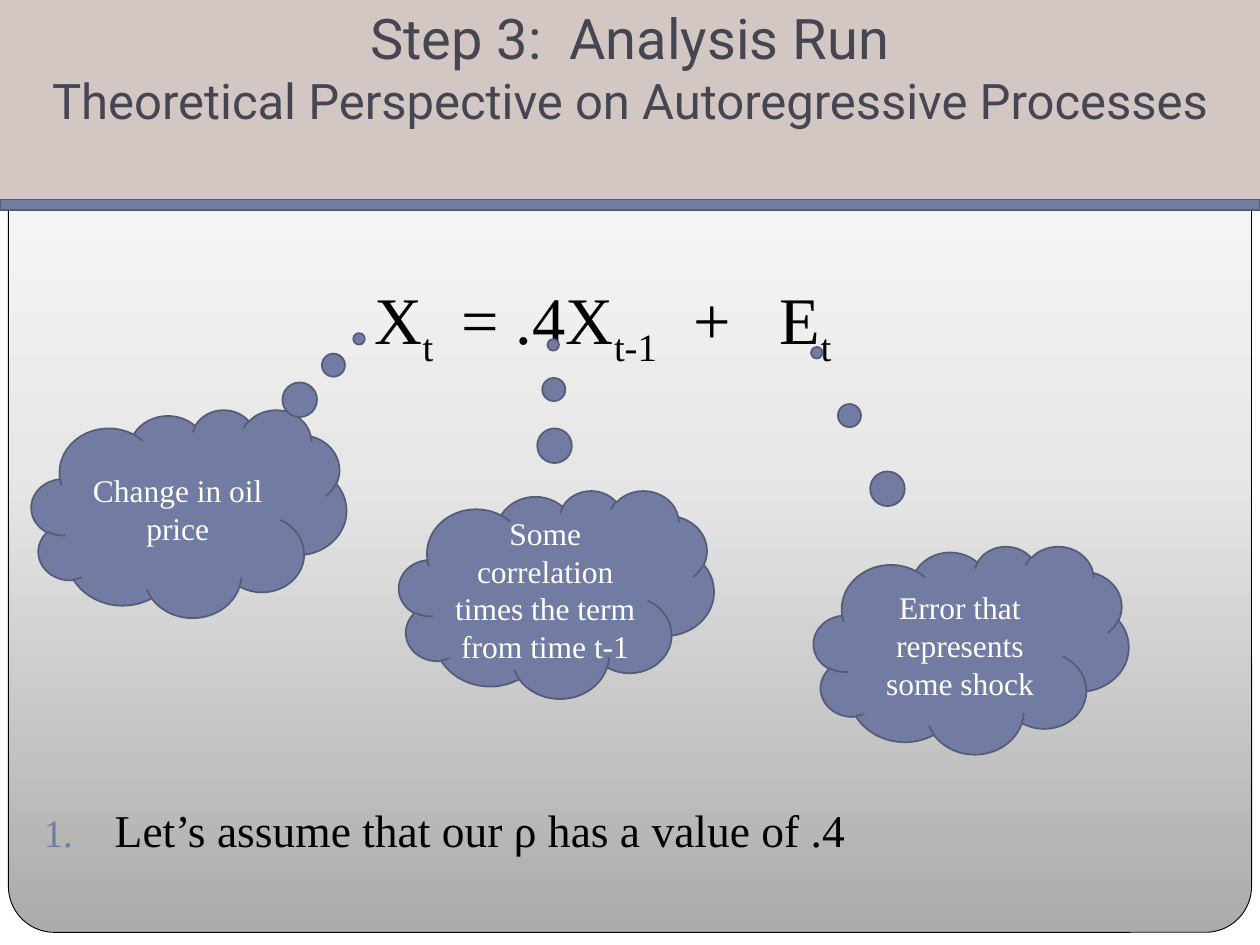
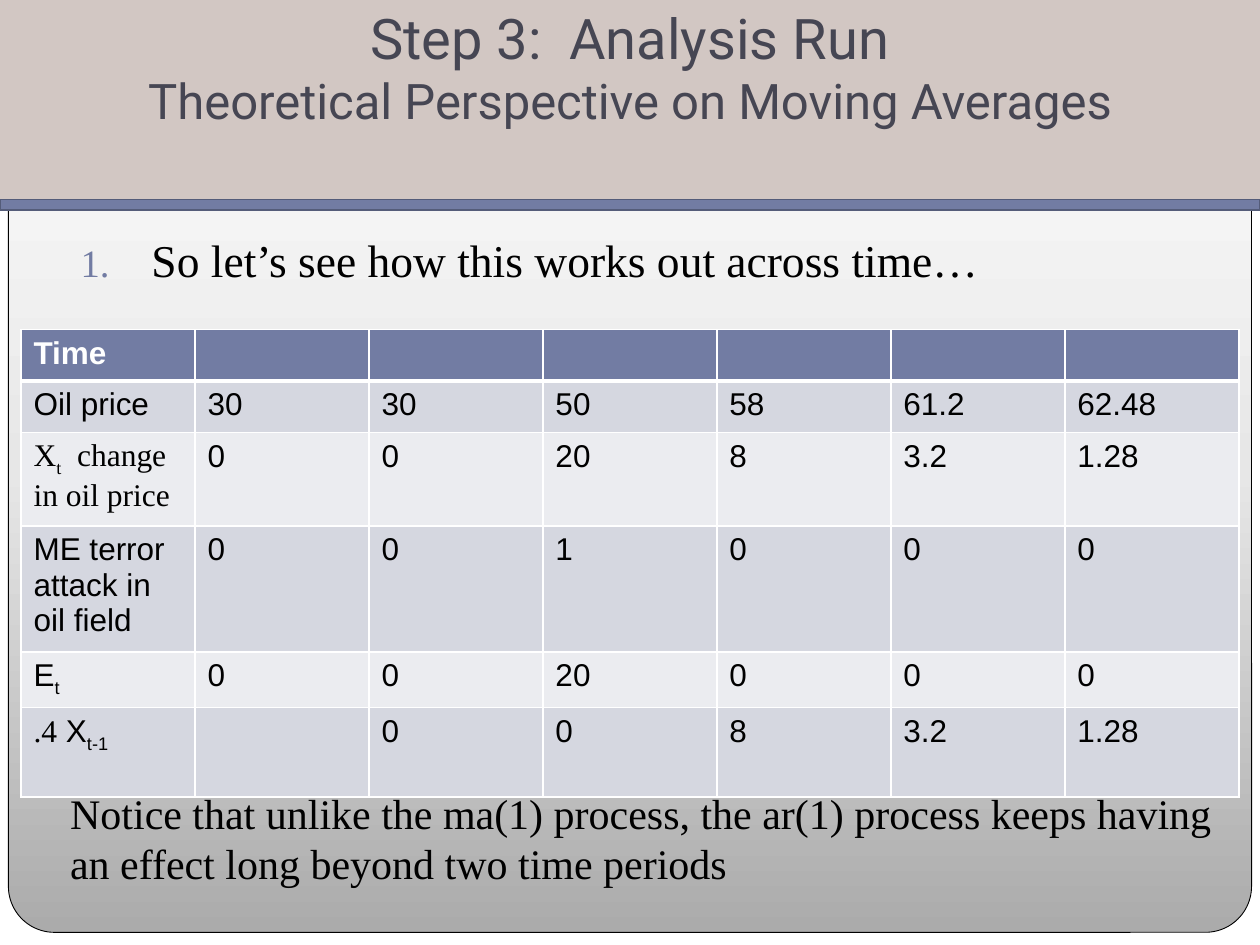
from copy import deepcopy

from lxml import etree
from pptx import Presentation
from pptx.dml.color import RGBColor
from pptx.enum.shapes import MSO_SHAPE
from pptx.enum.text import MSO_ANCHOR, MSO_AUTO_SIZE, PP_ALIGN
from pptx.oxml.ns import qn
from pptx.util import Inches, Pt

RECTANGLE = MSO_SHAPE.RECTANGLE
ROUNDED = MSO_SHAPE.ROUNDED_RECTANGLE
CLOUD = MSO_SHAPE.CLOUD_CALLOUT
CENTER = PP_ALIGN.CENTER
LEFT = PP_ALIGN.LEFT
TOP = MSO_ANCHOR.TOP
MIDDLE = MSO_ANCHOR.MIDDLE
NO_FIT = MSO_AUTO_SIZE.NONE

BLACK = RGBColor(0x00, 0x00, 0x00)
WHITE = RGBColor(0xFF, 0xFF, 0xFF)
TITLE_INK = RGBColor(0x46, 0x46, 0x53)
TITLE_BAND = RGBColor(0xD2, 0xC7, 0xC3)
ACCENT = RGBColor(0x72, 0x7C, 0xA3)
ACCENT_DARK = RGBColor(0x54, 0x5C, 0x79)
ROW_DARK = RGBColor(0xD5, 0xD7, 0xE0)
ROW_LIGHT = RGBColor(0xEB, 0xEC, 0xF0)
PANEL_STOPS = (
    (0, RGBColor(0xAB, 0xAB, 0xAB)),
    (0.5, RGBColor(0xE7, 0xE7, 0xE7)),
    (1, WHITE),
)

SERIF = "Times New Roman"
SANS = "Arial"
TITLE_FONT = "Roboto"

SLIDE_WIDTH, SLIDE_HEIGHT = Inches(10), Inches(7.5)
COLUMNS, ROWS = 120, 90
TITLE_ONLY = 5
SUBSCRIPT = -25000


def add_element(parent, tag, **attributes):
    return etree.SubElement(parent, qn(tag), attributes)


class Deck:
    def __init__(self):
        self.presentation = Presentation()
        self.presentation.slide_width = SLIDE_WIDTH
        self.presentation.slide_height = SLIDE_HEIGHT
        self.slide = None

    def across(self, columns):
        return round(SLIDE_WIDTH * columns / COLUMNS)

    def down(self, rows):
        return round(SLIDE_HEIGHT * rows / ROWS)

    def box(self, left, top, width, height):
        return self.across(left), self.down(top), self.across(width), self.down(height)

    def add_run(self, paragraph, text, size, font, color, bold=False, subscript=False):
        run = paragraph.add_run()
        run.text = text
        run.font.size = Pt(size)
        run.font.name = font
        run.font.bold = bold
        run.font.color.rgb = color
        if subscript:
            run.font._element.set("baseline", str(SUBSCRIPT))

    def add_shape(self, kind, place, fill, line, line_width=1):
        shape = self.slide.shapes.add_shape(kind, *self.box(*place))
        shape.shadow.inherit = False
        if fill is not None:
            shape.fill.solid()
            shape.fill.fore_color.rgb = fill
        shape.line.color.rgb = line
        shape.line.width = Pt(line_width)
        return shape

    def add_panel(self):
        panel = self.add_shape(ROUNDED, (0.8, 1, 118.4, 87.8), None, BLACK, 0.5)
        panel.adjustments[0] = 0.05
        panel.fill.gradient()
        first_stop = panel.fill.gradient_stops[0]._gs
        first_stop.addnext(deepcopy(first_stop))
        for stop, (position, color) in zip(panel.fill.gradient_stops, PANEL_STOPS):
            stop.position = position
            stop.color.rgb = color
        panel.fill.gradient_angle = 90

    def add_title(self, heading, subheading):
        title = self.slide.shapes.title
        title.left, title.top, title.width, title.height = self.box(0, 0, COLUMNS, 19)
        title.fill.solid()
        title.fill.fore_color.rgb = TITLE_BAND
        frame = title.text_frame
        frame.auto_size = NO_FIT
        frame.vertical_anchor = TOP
        frame.margin_top = self.down(0.3)
        for paragraph, text, size in (
            (frame.paragraphs[0], heading, 32),
            (frame.add_paragraph(), subheading, 28),
        ):
            paragraph.alignment = CENTER
            paragraph.space_before = Pt(0)
            self.add_run(paragraph, text, size, TITLE_FONT, TITLE_INK)
        self.slide.shapes._spTree.append(title._element)

    def add_slide(self, subheading):
        layout = self.presentation.slide_layouts[TITLE_ONLY]
        self.slide = self.presentation.slides.add_slide(layout)
        background = self.slide.background.fill
        background.solid()
        background.fore_color.rgb = WHITE
        self.add_panel()
        self.add_title("Step 3:  Analysis Run", subheading)
        self.add_shape(RECTANGLE, (0, 19, COLUMNS, 1), ACCENT, ACCENT_DARK)

    def add_text_box(self, place):
        text_box = self.slide.shapes.add_textbox(*self.box(*place))
        text_box.text_frame.word_wrap = True
        return text_box.text_frame.paragraphs[0]

    def add_note(self, place, text):
        self.add_run(self.add_text_box(place), text, 24, SERIF, BLACK)

    def add_numbered(self, place, text):
        paragraph = self.add_text_box(place)
        properties = paragraph._p.get_or_add_pPr()
        indent = self.across(6.75)
        properties.set("marL", str(indent))
        properties.set("indent", str(-indent))
        bullet_color = add_element(properties, "a:buClr")
        add_element(bullet_color, "a:srgbClr", val=str(ACCENT))
        add_element(properties, "a:buSzPct", val="85000")
        add_element(properties, "a:buAutoNum", type="arabicPeriod")
        self.add_run(paragraph, text, 26, SERIF, BLACK)

    def add_equation(self, place, parts, tab_columns):
        paragraph = self.add_text_box(place)
        tabs = add_element(paragraph._p.get_or_add_pPr(), "a:tabLst")
        for column in tab_columns:
            add_element(tabs, "a:tab", pos=str(self.across(column)), algn="l")
        for text, subscript in parts:
            self.add_run(paragraph, text, 38, SERIF, BLACK, subscript=subscript)

    def add_thought(self, left, top, pointer, text):
        cloud = self.add_shape(CLOUD, (left, top, 30, 19.8), ACCENT, ACCENT_DARK)
        for index, value in enumerate(pointer):
            cloud.adjustments[index] = value
        frame = cloud.text_frame
        frame.word_wrap = True
        frame.vertical_anchor = MIDDLE
        frame.paragraphs[0].alignment = CENTER
        self.add_run(frame.paragraphs[0], text, 18, SERIF, WHITE)

    def set_borders(self, cell, top_width, bottom_width):
        properties = cell._tc.get_or_add_tcPr()
        for side, width in (("L", 1), ("R", 1), ("T", top_width), ("B", bottom_width)):
            line = add_element(properties, f"a:ln{side}", w=str(Pt(width)))
            fill = add_element(line, "a:solidFill")
            add_element(fill, "a:srgbClr", val=str(WHITE))

    def add_table(self, place, labels, values, row_heights):
        column_count = len(values[0]) + 1
        table = self.slide.shapes.add_table(
            len(labels), column_count, *self.box(*place)
        ).table
        for column in table.columns:
            column.width = self.across(place[2] / column_count)
        for row_index, (label, numbers) in enumerate(zip(labels, values)):
            table.rows[row_index].height = self.down(row_heights[row_index])
            header = row_index == 0
            band = ACCENT if header else ROW_DARK if row_index % 2 else ROW_LIGHT
            contents = [label] + [[(number, SANS, False)] for number in numbers]
            for column_index, runs in enumerate(contents):
                cell = table.cell(row_index, column_index)
                self.set_borders(cell, 3 if row_index == 1 else 1, 3 if header else 1)
                cell.fill.solid()
                cell.fill.fore_color.rgb = band
                paragraph = cell.text_frame.paragraphs[0]
                paragraph.alignment = LEFT
                for text, font, subscript in runs:
                    if text:
                        self.add_run(paragraph, text, 18, font,
                                     WHITE if header else BLACK, header, subscript)


def add_autoregressive_slide(deck):
    deck.add_slide("Theoretical Perspective on Autoregressive Processes")
    deck.add_equation(
        (34.5, 25.9, 80, 9),
        (("X", False), ("t", True), ("\t= .4X", False), ("t-1", True),
         ("\t+\tE", False), ("t", True)),
        (8.3, 30.4, 38.6),
    )
    deck.add_numbered((3, 75.8, 114, 10), "Let’s assume that our ρ has a value of .4")
    for thought in (
        (3, 39, (0.54, -0.84), "Change in oil price"),
        (38, 46.7, (-0.01, -1.2), "Some correlation times the term from time t-1"),
        (77.5, 52, (-0.49, -1.43), "Error that represents some shock"),
    ):
        deck.add_thought(*thought)


def add_moving_average_slide(deck):
    deck.add_slide("Theoretical Perspective on Moving Averages")
    deck.add_note(
        (5.5, 74.4, 114, 14),
        "Notice that unlike the ma(1) process, the ar(1) process keeps having "
        "an effect long beyond two time periods",
    )
    deck.add_numbered((6.5, 21.5, 114, 10), "So let’s see how this works out across time…")
    labels = (
        [("Time", SANS, False)],
        [("Oil price", SANS, False)],
        [("X", SERIF, False), ("t", SERIF, True), ("  change in oil price", SERIF, False)],
        [("ME terror attack in oil field", SANS, False)],
        [("E", SANS, False), ("t", SANS, True)],
        [(".4", SERIF, False), (" X", SANS, False), ("t-1", SANS, True)],
    )
    values = (
        ("",) * 6,
        ("30", "30", "50", "58", "61.2", "62.48"),
        ("0", "0", "20", "8", "3.2", "1.28"),
        ("0", "0", "1", "0", "0", "0"),
        ("0", "0", "20", "0", "0", "0"),
        ("", "0", "0", "8", "3.2", "1.28"),
    )
    deck.add_table((2, 31.4, 116, 42.9), labels, values, (4.9, 4.9, 8.3, 11.3, 5, 8.5))


def main():
    deck = Deck()
    add_autoregressive_slide(deck)
    add_moving_average_slide(deck)
    deck.presentation.save("out.pptx")


if __name__ == "__main__":
    main()
